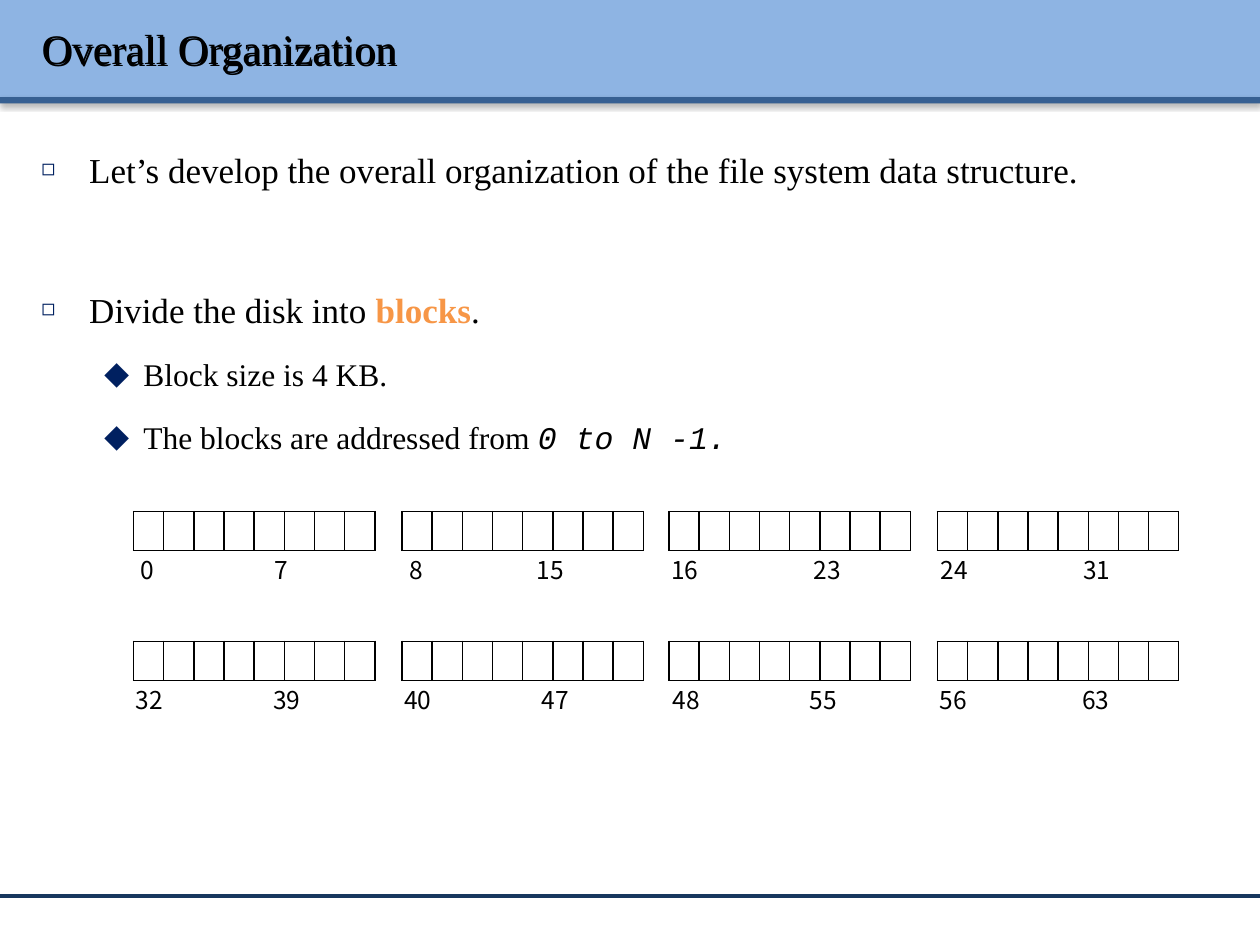
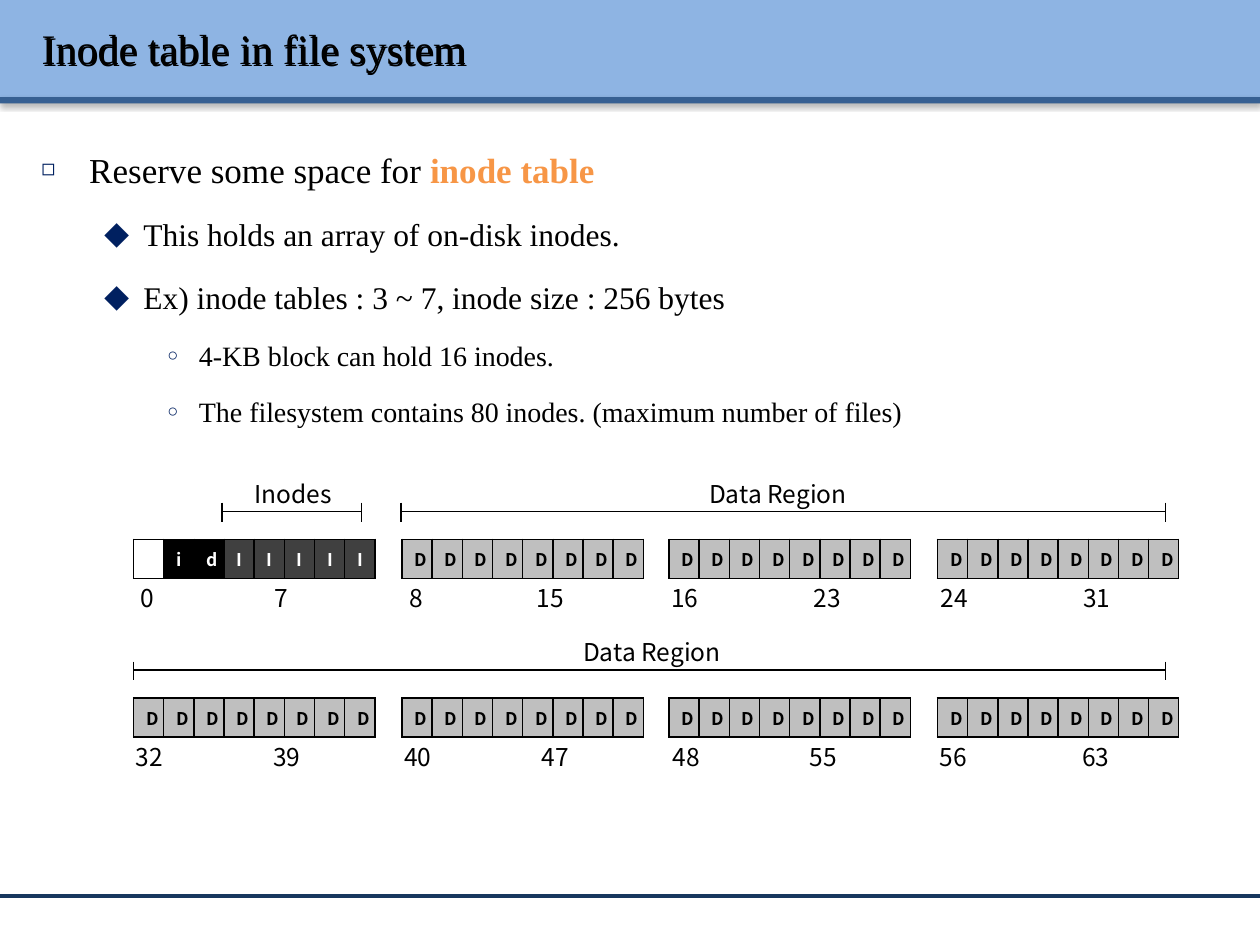
from dataclasses import dataclass

from lxml import etree
from pptx import Presentation
from pptx import util as u
from pptx.dml.color import RGBColor
from pptx.enum import shapes, text
from pptx.oxml import ns

Inches, Pt = u.Inches, u.Pt


@dataclass(frozen=True)
class Theme:
    serif: str = "Times New Roman"
    sans: str = "Noto Sans CJK KR"
    mono: str = "Courier New"
    black: str = "000000"
    white: str = "FFFFFF"
    band: str = "8EB4E3"
    band_edge: str = "376092"
    footer: str = "17375E"
    bullet: str = "002060"
    accent: str = "F79646"
    inode: str = "404040"
    data: str = "BFBFBF"
    title_size: int = 24
    label_size: int = 14
    cell_size: int = 10


THEME = Theme()

# Per outline level: type size, left margin, hanging indent, bullet, its size in percent, its font
LEVELS = [
    (20, 0.38, 0.38, "◻", 65, THEME.serif),
    (18, 0.81, 0.31, "◆", 80, THEME.sans),
    (16, 1.25, 0.25, "○", 65, THEME.serif),
]
SPACE_RATIO = 0.2  # paragraph gap relative to type size

# Block groups
GROUP_SIZE = 8
GROUP_LEFTS = [1.06, 3.19, 5.31, 7.44]
COLUMN_WIDTH, ROW_HEIGHT = 0.23, 0.31
# Left of the label box and tab stop of its second number, per row of groups
LABEL_PLACES = [
    [(1.02, 1.06), (3.15, 1.01), (5.23, 1.13), (7.37, 1.13)],
    [(0.98, 1.09), (3.11, 1.09), (5.24, 1.09), (7.36, 1.13)],
]

# Cell contents: letter, fill, text colour
FREE = ("", THEME.white, THEME.black)
DATA = ("D", THEME.data, THEME.black)
INODE = ("I", THEME.inode, THEME.white)
INODE_BITMAP = ("i", THEME.black, THEME.white)
DATA_BITMAP = ("d", THEME.black, THEME.white)


def add_xml(parent, tag, **attributes):
    return etree.SubElement(parent, ns.qn(tag), attributes)


def add_shadow(shape, blur, distance, angle, alpha):
    effects = add_xml(shape._element.spPr, "a:effectLst")
    shadow = add_xml(effects, "a:outerShdw", blurRad=str(Pt(blur)), dist=str(Pt(distance)),
                     dir=str(angle * 60000), algn="t", rotWithShape="0")
    color = add_xml(shadow, "a:srgbClr", val=THEME.black)
    add_xml(color, "a:alpha", val=str(alpha * 1000))


class SlideBuilder:
    def __init__(self, deck, theme):
        self.deck = deck
        self.theme = theme
        self.page = None

    def style(self, font, size, face, color=None, bold=False, italic=False):
        font.size, font.name = Pt(size), face
        font.bold, font.italic = bold, italic
        font.color.rgb = RGBColor.from_string(color or self.theme.black)

    def start(self, title):
        self.page = self.deck.slides.add_slide(self.deck.slide_layouts[5])
        # Bands lie behind the title
        for index, (top, height, color) in enumerate([(0, 0.77, self.theme.band),
                                                      (0.77, 0.05, self.theme.band_edge)]):
            band = self.rectangle(0, top, 10, height, color)
            self.page.shapes._spTree.insert(2 + index, band._element)
        self.line(0, 7.11, 10, 7.11, self.theme.footer, 2)
        self.title(title)

    def title(self, words):
        box = self.page.shapes.title
        box.left, box.top, box.width, box.height = map(Inches, (0.23, 0.06, 9.61, 0.64))
        frame = box.text_frame
        frame.text = words
        frame.auto_size = text.MSO_AUTO_SIZE.NONE
        frame.vertical_anchor = text.MSO_ANCHOR.MIDDLE
        para = frame.paragraphs[0]
        para.alignment = text.PP_ALIGN.LEFT
        self.style(para.runs[0].font, self.theme.title_size, self.theme.serif)
        add_shadow(box, 0, 1.2, 45, 100)

    def rectangle(self, left, top, width, height, color):
        shape = self.page.shapes.add_shape(
            shapes.MSO_SHAPE.RECTANGLE, *map(Inches, (left, top, width, height)))
        shape.fill.solid()
        shape.fill.fore_color.rgb = RGBColor.from_string(color)
        shape.line.fill.background()
        add_shadow(shape, 3.1, 1.6, 90, 38)
        return shape

    def line(self, x1, y1, x2, y2, color=None, weight=1):
        line = self.page.shapes.add_connector(
            shapes.MSO_CONNECTOR.STRAIGHT, *map(Inches, (x1, y1, x2, y2)))
        line.line.color.rgb = RGBColor.from_string(color or self.theme.black)
        line.line.width = Pt(weight)
        add_xml(line._element.spPr, "a:effectLst")

    def text_box(self, left, top, width, height):
        box = self.page.shapes.add_textbox(*map(Inches, (left, top, width, height)))
        box.text_frame.word_wrap = True
        return box.text_frame

    def outline(self, items):
        """Each item is (level, spans, extra space before); a span is (words, style)."""
        frame = self.text_box(0.23, 0.96, 9.61, 6.02)
        for index, (level, spans, extra) in enumerate(items):
            para = frame.add_paragraph() if index else frame.paragraphs[0]
            size, margin, hanging, bullet, percent, bullet_face = LEVELS[level]
            para.level = level
            props = para._p.get_or_add_pPr()
            props.set("marL", str(Inches(margin)))
            props.set("indent", str(-Inches(hanging)))
            add_xml(add_xml(props, "a:buClr"), "a:srgbClr", val=self.theme.bullet)
            add_xml(props, "a:buSzPct", val=str(percent * 1000))
            add_xml(props, "a:buFont", typeface=bullet_face)
            add_xml(props, "a:buChar", char=bullet)
            para.line_spacing = 1.5
            para.space_before = Pt(SPACE_RATIO * size + extra) if index else Pt(0)
            for words, look in spans:
                span = para.add_run()
                span.text = words
                self.style(span.font, size, **{"face": self.theme.serif, **look})

    def label(self, words, left, top, width, tab=None):
        frame = self.text_box(left, top, width, 0.34)
        frame.text = words
        para = frame.paragraphs[0]
        if tab:
            stops = add_xml(para._p.get_or_add_pPr(), "a:tabLst")
            add_xml(stops, "a:tab", pos=str(Inches(tab)), algn="l")
        self.style(para.runs[0].font, self.theme.label_size, self.theme.sans)

    def cell(self, cell, letter, fill, color):
        cell.fill.solid()
        cell.fill.fore_color.rgb = RGBColor.from_string(fill)
        cell.vertical_anchor = text.MSO_ANCHOR.MIDDLE
        props = cell._tc.get_or_add_tcPr()
        for index, side in enumerate(("a:lnL", "a:lnR", "a:lnT", "a:lnB")):
            border = add_xml(props, side, w=str(Pt(1)))
            add_xml(add_xml(border, "a:solidFill"), "a:srgbClr", val=self.theme.black)
            props.insert(index, border)
        para = cell.text_frame.paragraphs[0]
        para.alignment = text.PP_ALIGN.CENTER
        if letter:
            para.text = letter
            self.style(para.runs[0].font, self.theme.cell_size, self.theme.sans, color, bold=True)
        else:
            add_xml(para._p, "a:endParaRPr", sz=str(self.theme.cell_size * 100))

    def block_group(self, left, top, blocks):
        frame = self.page.shapes.add_table(
            1, len(blocks), Inches(left), Inches(top),
            Inches(COLUMN_WIDTH * len(blocks)), Inches(ROW_HEIGHT))
        table = frame.table
        table.first_row = table.horz_banding = False
        table.rows[0].height = Inches(ROW_HEIGHT)
        for index, block in enumerate(blocks):
            table.columns[index].width = Inches(COLUMN_WIDTH)
            self.cell(table.cell(0, index), *block)

    def disk(self, row_tops, blocks):
        """Draw the blocks in rows of groups, each with its first and last address."""
        first = 0
        for top, places in zip(row_tops, LABEL_PLACES):
            for left, (label_left, tab) in zip(GROUP_LEFTS, places):
                self.block_group(left, top, blocks[first:first + GROUP_SIZE])
                last = first + GROUP_SIZE - 1
                self.label(f"{first}\t{last}", label_left, top + 0.3, 2.07, tab)
                first += GROUP_SIZE

    def bracket(self, left, right, y, words, label_left, label_width):
        for x in (left, right):
            self.line(x, y - 0.07, x, y + 0.08)
        self.line(left, y, right, y)
        self.label(words, label_left, y - 0.31, label_width)


def main():
    deck = Presentation()
    deck.slide_width, deck.slide_height = Inches(10), Inches(7.5)
    builder = SlideBuilder(deck, THEME)
    plain = {}
    key = {"color": THEME.accent, "bold": True}
    code = {"face": THEME.mono, "italic": True}
    block_count = 2 * len(GROUP_LEFTS) * GROUP_SIZE

    # Overall organization
    builder.start("Overall Organization")
    builder.outline([
        (0, [("Let’s develop the overall organization of the file system data structure.",
              plain)], 0),
        (0, [("Divide the disk into ", plain), ("blocks", key), (".", plain)], 40),
        (1, [("Block size is 4 KB.", plain)], 0),
        (1, [("The blocks are addressed from ", plain), ("0 to N -1.", code)], 0),
    ])
    builder.disk([4.06, 5.09], [FREE] * block_count)

    # Inode table
    builder.start("Inode table in file system")
    builder.outline([
        (0, [("Reserve some space for ", plain), ("inode table", key)], 0),
        (1, [("This holds an array of on-disk inodes.", plain)], 0),
        (1, [("Ex) inode tables : 3 ~ 7, inode size : 256 bytes", plain)], 0),
        (2, [("4-KB block can hold 16 inodes.", plain)], 0),
        (2, [("The filesystem contains 80 inodes. (maximum number of files)", plain)], 0),
    ])
    reserved = [FREE, INODE_BITMAP, DATA_BITMAP] + [INODE] * 5
    builder.disk([4.28, 5.54], reserved + [DATA] * (block_count - len(reserved)))
    builder.bracket(1.76, 2.87, 4.06, "Inodes", 1.92, 0.84)
    builder.bracket(3.18, 9.25, 4.06, "Data Region", 5.53, 1.36)
    builder.bracket(1.06, 9.25, 5.32, "Data Region", 4.53, 1.36)

    deck.save("out.pptx")


if __name__ == "__main__":
    main()
